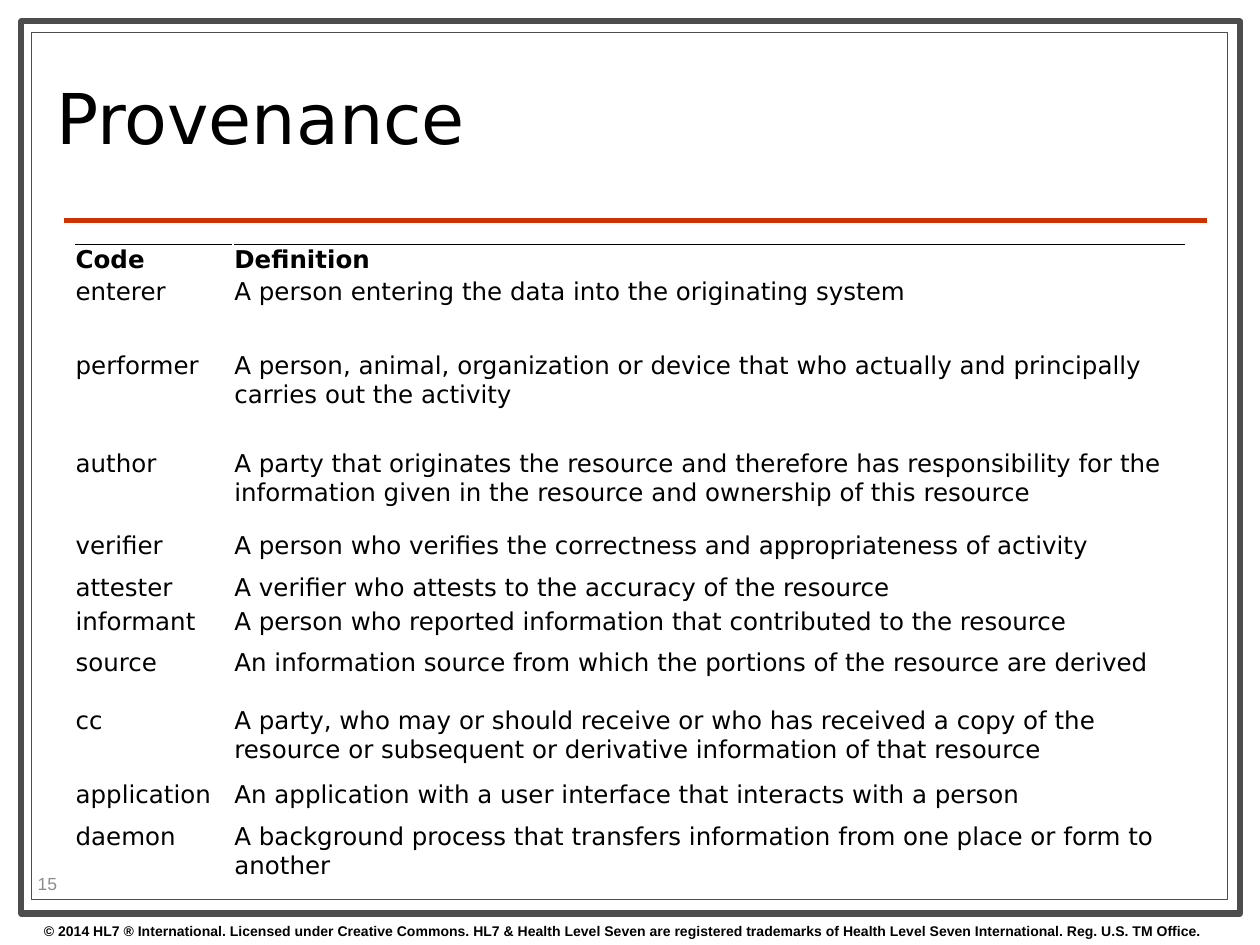
from lxml import etree
from pptx import Presentation
from pptx.dml.color import RGBColor
from pptx.enum.shapes import MSO_CONNECTOR, MSO_SHAPE
from pptx.enum.text import MSO_ANCHOR, PP_ALIGN
from pptx.oxml.ns import qn
from pptx.util import Inches, Pt

STRAIGHT = MSO_CONNECTOR.STRAIGHT
RECTANGLE = MSO_SHAPE.RECTANGLE
MIDDLE = MSO_ANCHOR.MIDDLE
TOP = MSO_ANCHOR.TOP
LEFT = PP_ALIGN.LEFT

BODY_FONT = "DejaVu Sans"
SMALL_FONT = "Arial"
BLACK, WHITE, GREY = "000000", "FFFFFF", "4D4D4D"
COLUMN_WIDTHS = [1.26, 7.56]
ROWS = [
    (0.25, "Code", "Definition"),
    (0.59, "enterer", "A person entering the data into the originating system"),
    (0.78, "performer", "A person, animal, organization or device that who actually "
     "and principally carries out the activity"),
    (0.65, "author", "A party that originates the resource and therefore has "
     "responsibility for the information given in the resource and ownership of this resource"),
    (0.33, "verifier", "A person who verifies the correctness and appropriateness of activity"),
    (0.27, "attester", "A verifier who attests to the accuracy of the resource"),
    (0.33, "informant", "A person who reported information that contributed to the resource"),
    (0.46, "source", "An information source from which the portions of the resource are derived"),
    (0.59, "cc", "A party, who may or should receive or who has received a copy of the "
     "resource or subsequent or derivative information of that resource"),
    (0.33, "application", "An application with a user interface that interacts with a person"),
    (0.49, "daemon", "A background process that transfers information from one place "
     "or form to another"),
]
FOOTER = ("© 2014 HL7 ® International. Licensed under Creative Commons. HL7 & Health Level "
          "Seven are registered trademarks of Health Level Seven International. "
          "Reg. U.S. TM Office.")


def color(value):
    """Return the colour for a hex string."""
    return RGBColor.from_string(value)


def box(*lengths):
    """Convert lengths in inches for a shape's frame."""
    return [Inches(length) for length in lengths]


def set_text(text_frame, text, font_name, size, hex_color=BLACK, bold=False, anchor=TOP):
    """Write one left-aligned paragraph and format it."""
    text_frame.word_wrap = True
    text_frame.vertical_anchor = anchor
    text_frame.text = text
    paragraph = text_frame.paragraphs[0]
    paragraph.alignment = LEFT
    for run in paragraph.runs:
        run.font.name = font_name
        run.font.size = Pt(size)
        run.font.bold = bold
        run.font.color.rgb = color(hex_color)


def add_frame(slide, frame, line_width):
    """Add a white rectangle with a grey outline."""
    shape = slide.shapes.add_shape(RECTANGLE, *box(*frame))
    shape.shadow.inherit = False
    shape.fill.solid()
    shape.fill.fore_color.rgb = color(WHITE)
    shape.line.color.rgb = color(GREY)
    shape.line.width = Pt(line_width)


def add_rule(slide, left, right, top):
    """Add the red horizontal rule below the title."""
    rule = slide.shapes.add_connector(STRAIGHT, *box(left, top, right, top))
    rule.line.color.rgb = color("CC3300")
    rule.line.width = Pt(3)
    etree.SubElement(rule._element.spPr, qn("a:effectLst"))


def add_label(slide, frame, text, size, **style):
    """Add a small text box."""
    label = slide.shapes.add_textbox(*box(*frame))
    set_text(label.text_frame, text, SMALL_FONT, size, **style)


def add_title(slide, frame, text):
    """Fill the title placeholder and bring it in front of the frames."""
    title = slide.shapes.title
    title.left, title.top, title.width, title.height = box(*frame)
    set_text(title.text_frame, text, BODY_FONT, 40, anchor=MIDDLE)
    title.text_frame.paragraphs[0].line_spacing = 0.8
    slide.shapes._spTree.append(title._element)


def add_top_border(cell):
    """Draw a thin black line along the top of a cell."""
    border = etree.Element(qn("a:lnT"), w=str(Pt(0.75)))
    fill = etree.SubElement(border, qn("a:solidFill"))
    etree.SubElement(fill, qn("a:srgbClr"), val=BLACK)
    cell._tc.get_or_add_tcPr().insert(0, border)


def add_code_table(slide, left, top):
    """Add the table of codes and their definitions."""
    width, height = sum(COLUMN_WIDTHS), sum(row[0] for row in ROWS)
    frame = box(left, top, width, height)
    table = slide.shapes.add_table(len(ROWS), len(COLUMN_WIDTHS), *frame).table
    table.first_row = table.horz_banding = False
    for column, column_width in zip(table.columns, COLUMN_WIDTHS):
        column.width = Inches(column_width)
    for index, (row_height, *texts) in enumerate(ROWS):
        table.rows[index].height = Inches(row_height)
        for cell, text in zip(table.rows[index].cells, texts):
            cell.margin_left = cell.margin_right = Inches(0.01)
            cell.margin_top = cell.margin_bottom = Inches(0.01)
            cell.fill.solid()
            cell.fill.fore_color.rgb = color(WHITE)
            set_text(cell.text_frame, text, BODY_FONT, 14, bold=index == 0)
            if index == 0:
                add_top_border(cell)


def main():
    """Build the slide and save it."""
    presentation = Presentation()
    presentation.slide_width, presentation.slide_height = box(10, 7.5)
    slide = presentation.slides.add_slide(presentation.slide_layouts[5])
    add_frame(slide, (0.17, 0.17, 9.67, 7.08), 3.5)
    add_frame(slide, (0.25, 0.26, 9.49, 6.88), 0.75)
    add_rule(slide, 0.51, 9.58, 1.75)
    add_label(slide, (0.25, 7.27, 10, 0.23), FOOTER, 8, bold=True)
    add_title(slide, (0.35, 0.36, 7.17, 1.26), "Provenance")
    add_code_table(slide, 0.59, 1.94)
    add_label(slide, (0.2, 6.89, 0.79, 0.24), "15", 10, hex_color="8C8C8C", anchor=MIDDLE)
    presentation.save("out.pptx")


if __name__ == "__main__":
    main()
